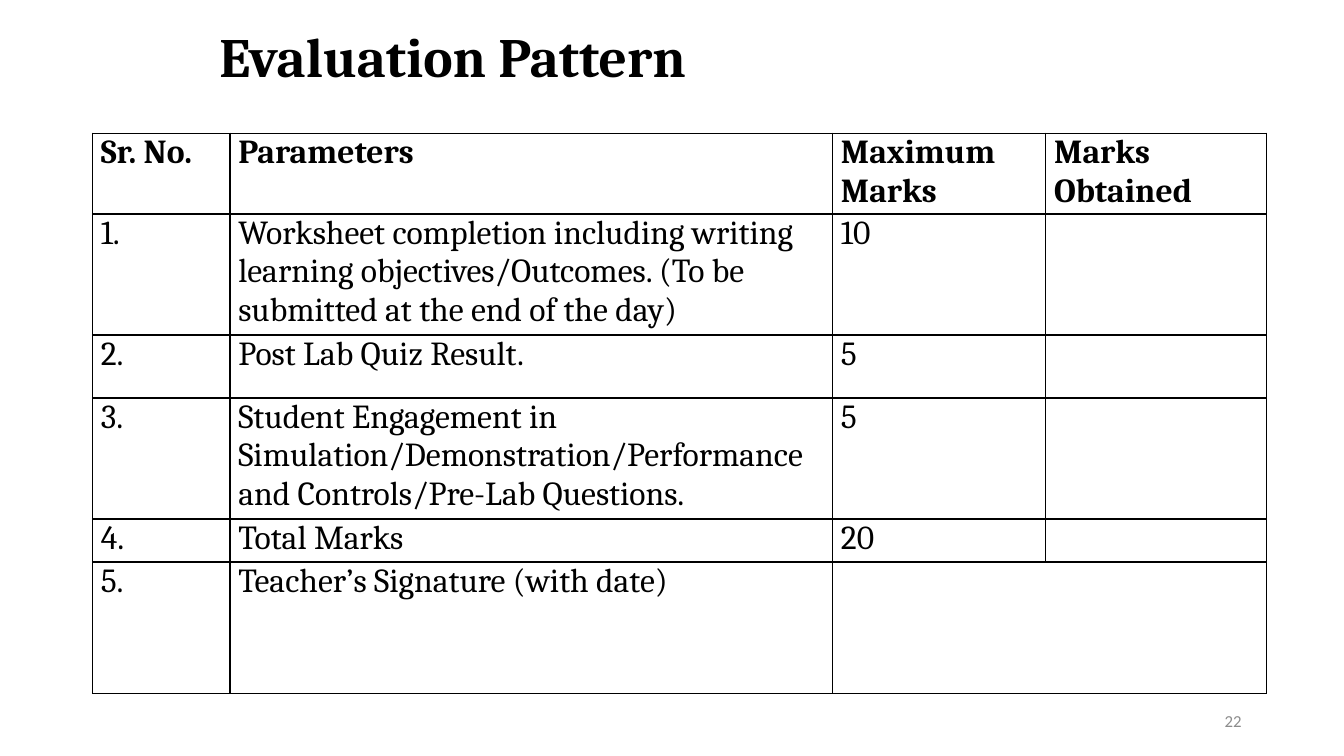
from lxml.etree import SubElement
from pptx import Presentation
from pptx.dml.color import RGBColor as RGB
from pptx.enum.text import MSO_ANCHOR as ANCHOR, PP_ALIGN as ALIGN
from pptx.oxml.ns import qn
from pptx.util import Pt

PX = 9525  # EMU per px, 96 px to the inch
COLORS = {"ink": "000000", "paper": "FFFFFF", "muted": "8C8C8C"}

COL_WIDTHS = [131, 574, 203, 210]
ROW_HEIGHTS = [75, 111, 60, 110, 41, 125]
ROWS = [
    ["Sr. No.", "Parameters", "Maximum Marks", "Marks Obtained"],
    ["1.", "Worksheet completion including writing learning "
     "objectives/Outcomes. (To be submitted at the end of the day)", "10", ""],
    ["2.", "Post Lab Quiz Result.", "5", ""],
    ["3.", "Student Engagement in Simulation/Demonstration/Performance "
     "and Controls/Pre-Lab Questions.", "5", ""],
    ["4.", "Total Marks", "20", ""],
    ["5.", "Teacher’s Signature (with date)", "", ""],
]


def px(n):
    return n * PX


def style(p, size, font, color, bold=False):
    p.font.size = Pt(size)
    p.font.name = font
    p.font.bold = bold
    p.font.color.rgb = RGB.from_string(COLORS[color])


def add_text(slide, text, box, align, size, font, color, bold=False):
    tf = slide.shapes.add_textbox(*map(px, box)).text_frame
    tf.word_wrap = True
    tf.vertical_anchor = ANCHOR.MIDDLE
    p = tf.paragraphs[0]
    p.text = text
    p.alignment = align
    style(p, size, font, color, bold)
    return p


def add_borders(cell):
    tc_pr = cell._tc.get_or_add_tcPr()
    for side in ("lnL", "lnR", "lnT", "lnB"):
        ln = SubElement(tc_pr, qn(f"a:{side}"), w=str(Pt(1)))
        fill = SubElement(ln, qn("a:solidFill"))
        SubElement(fill, qn("a:srgbClr"), val=COLORS["ink"])


def fill_cell(cell, text, bold):
    add_borders(cell)
    cell.fill.solid()
    cell.fill.fore_color.rgb = RGB.from_string(COLORS["paper"])
    cell.margin_left = px(8)
    cell.margin_right = cell.margin_top = cell.margin_bottom = 0
    p = cell.text_frame.paragraphs[0]
    p.text = text
    style(p, 24, "Cambria", "ink", bold)


def add_marks_table(slide, left, top):
    table = slide.shapes.add_table(
        len(ROWS), len(COL_WIDTHS), px(left), px(top),
        px(sum(COL_WIDTHS)), px(sum(ROW_HEIGHTS))).table
    table.first_row = table.horz_banding = False
    for col, width in zip(table.columns, COL_WIDTHS):
        col.width = px(width)
    for row, height in zip(table.rows, ROW_HEIGHTS):
        row.height = px(height)
    for i, texts in enumerate(ROWS):
        for j, text in enumerate(texts):
            fill_cell(table.cell(i, j), text, bold=i == 0)
    # Signature space spans both marks columns
    table.cell(5, 2).merge(table.cell(5, 3))


def main():
    prs = Presentation()
    prs.slide_width, prs.slide_height = px(1280), px(720)
    slide = prs.slides.add_slide(prs.slide_layouts[6])

    # Title
    title = add_text(slide, "Evaluation Pattern", (173, 0, 516, 113),
                     ALIGN.CENTER, 39.6, "Cambria", "ink", bold=True)
    title.line_spacing = 0.9

    # Marks table
    add_marks_table(slide, 88, 127)

    # Page number
    add_text(slide, "22", (904, 667, 288, 38),
             ALIGN.RIGHT, 12, "Calibri", "muted")

    prs.save("out.pptx")


if __name__ == "__main__":
    main()
